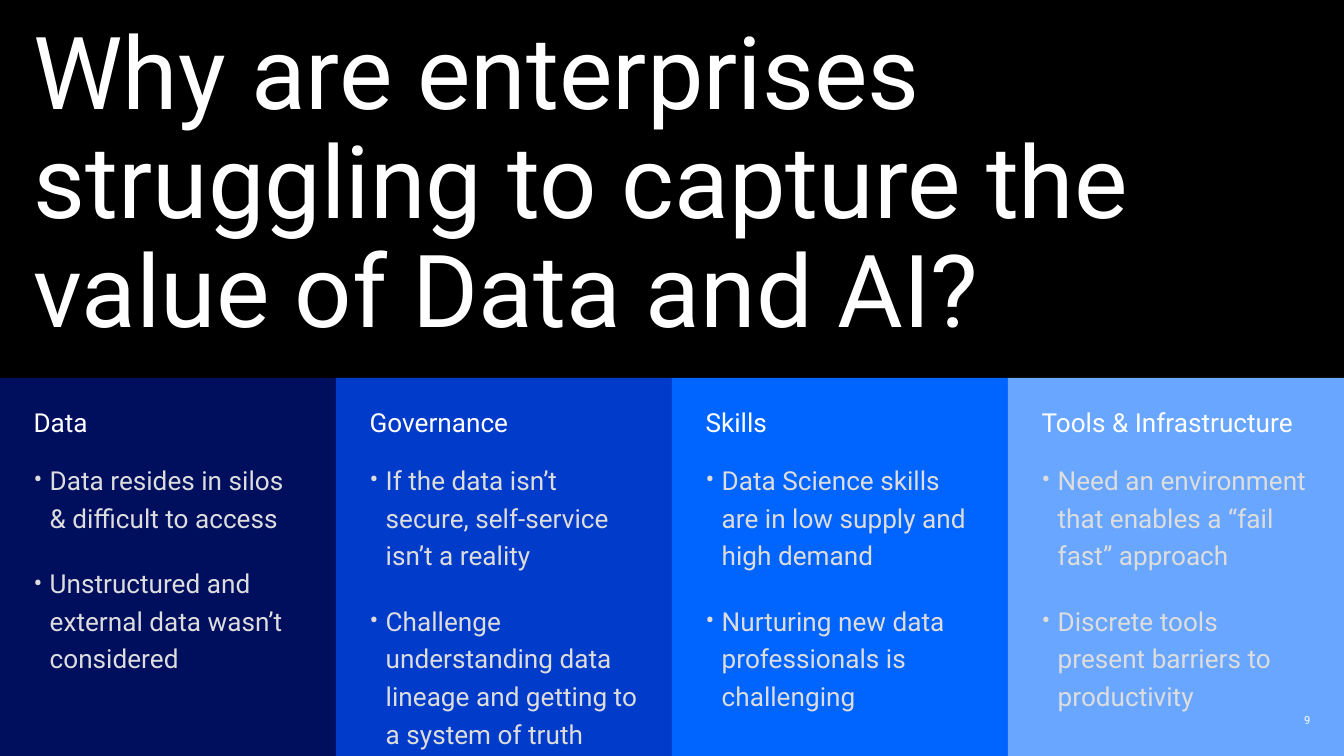
from lxml.etree import SubElement
from pptx import Presentation
from pptx.dml.color import RGBColor
from pptx.enum.shapes import MSO_SHAPE
from pptx.enum.text import MSO_ANCHOR, PP_ALIGN
from pptx.oxml.ns import qn
from pptx.util import Inches, Pt

# Content
TITLE = "Why are enterprises struggling to capture the value of Data and AI?"
PAGE = "9"
FONT = "Roboto"
BLACK = RGBColor(0x00, 0x00, 0x00)
WHITE = RGBColor(0xFF, 0xFF, 0xFF)
GREY = RGBColor(0xDD, 0xDD, 0xDD)
NAVY = RGBColor(0x00, 0x0E, 0x5E)
ROYAL = RGBColor(0x00, 0x3B, 0xC9)
BLUE = RGBColor(0x00, 0x64, 0xFF)
SKY = RGBColor(0x69, 0xA6, 0xFF)
COLUMNS = [
    ("Data", NAVY, [
        "Data resides in silos & difficult to access",
        "Unstructured and external data wasn’t considered"]),
    ("Governance", ROYAL, [
        "If the data isn’t secure, self-service isn’t a reality",
        "Challenge understanding data lineage and getting to a system of truth"]),
    ("Skills", BLUE, [
        "Data Science skills are in low supply and high demand",
        "Nurturing new data professionals is challenging"]),
    ("Tools & Infrastructure", SKY, [
        "Need an environment that enables a “fail fast” approach",
        "Discrete tools present barriers to productivity"]),
]

# Layout: a 16:9 slide, split in half across
WIDTH = 10
HEIGHT = WIDTH * 9 / 16
HALF = HEIGHT / 2
COL = WIDTH / len(COLUMNS)
PAD = 0.25
INDENT = 0.12


def set_frame(frame, left, top, right, bottom, anchor):
    frame.word_wrap = True
    frame.vertical_anchor = anchor
    frame.margin_left, frame.margin_top = Inches(left), Inches(top)
    frame.margin_right, frame.margin_bottom = Inches(right), Inches(bottom)


def add_panel(slide, left, top, width, fill, inset):
    panel = slide.shapes.add_shape(
        MSO_SHAPE.RECTANGLE, Inches(left), Inches(top), Inches(width), Inches(HALF))
    panel.shadow.inherit = False
    panel.fill.solid()
    panel.fill.fore_color.rgb = fill
    panel.line.fill.background()
    set_frame(panel.text_frame, PAD, inset, PAD, PAD, MSO_ANCHOR.TOP)
    return panel.text_frame


def add_text(para, text, size, color, align=PP_ALIGN.LEFT):
    para.alignment = align
    run = para.add_run()
    run.text = text
    run.font.name = FONT
    run.font.size = Pt(size)
    run.font.color.rgb = color


def add_bullet(frame, text):
    para = frame.add_paragraph()
    props = para._p.get_or_add_pPr()
    props.set("marL", str(Inches(INDENT)))
    props.set("indent", str(-Inches(INDENT)))
    SubElement(props, qn("a:buFont")).set("typeface", FONT)
    SubElement(props, qn("a:buChar")).set("char", "•")
    para.line_spacing = 1.2
    para.space_before, para.space_after = Pt(11), Pt(4)
    add_text(para, text, 14, GREY)


def main():
    deck = Presentation()
    deck.slide_width, deck.slide_height = Inches(WIDTH), Inches(HEIGHT)
    slide = deck.slides.add_slide(deck.slide_layouts[6])

    # Title band
    para = add_panel(slide, 0, 0, WIDTH, BLACK, 0.17).paragraphs[0]
    para.line_spacing = 0.9
    add_text(para, TITLE, 54, WHITE)

    # Four columns
    for i, (head, fill, points) in enumerate(COLUMNS):
        frame = add_panel(slide, i * COL, HALF, COL, fill, 0.21)
        add_text(frame.paragraphs[0], head, 14, WHITE)
        for point in points:
            add_bullet(frame, point)

    # Page number
    box = slide.shapes.add_textbox(
        Inches(WIDTH - COL), Inches(5.28), Inches(COL - PAD), Inches(0.15))
    set_frame(box.text_frame, 0, 0, 0, 0, MSO_ANCHOR.MIDDLE)
    add_text(box.text_frame.paragraphs[0], PAGE, 6, WHITE, PP_ALIGN.RIGHT)

    deck.save("out.pptx")


if __name__ == "__main__":
    main()
